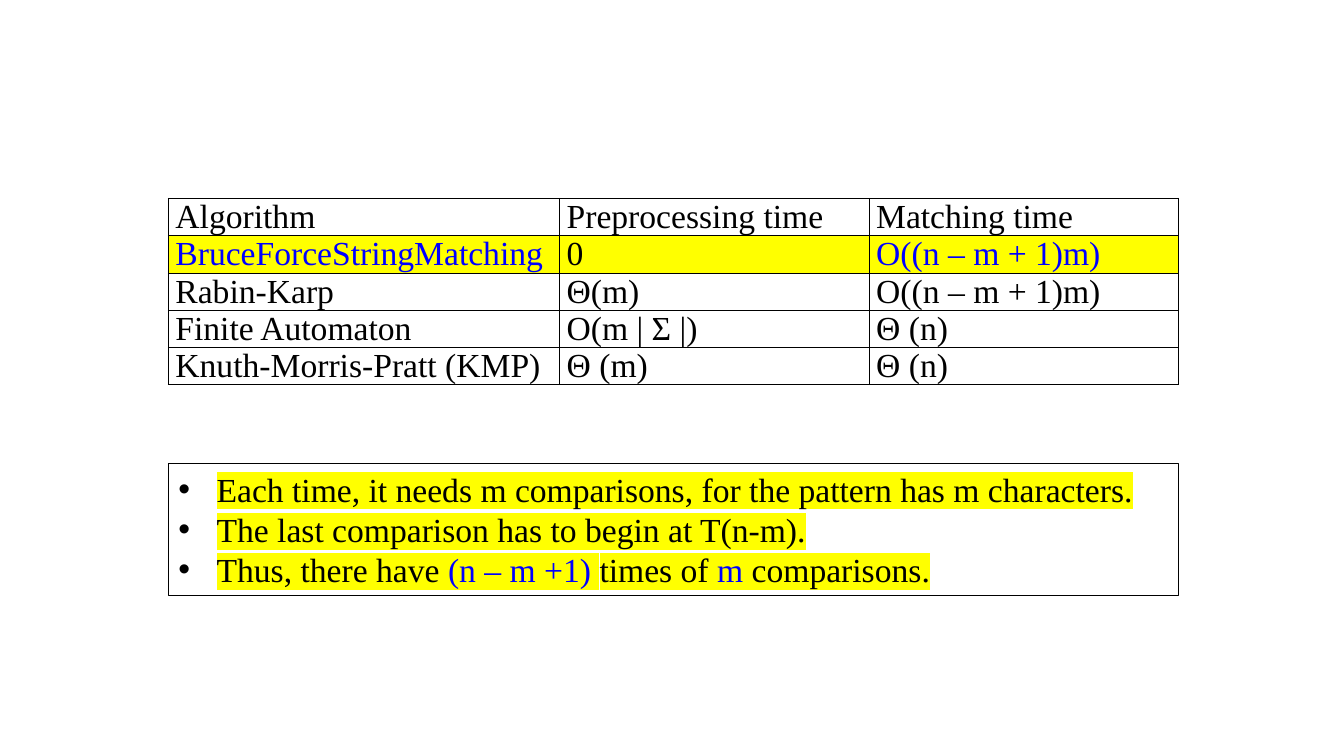
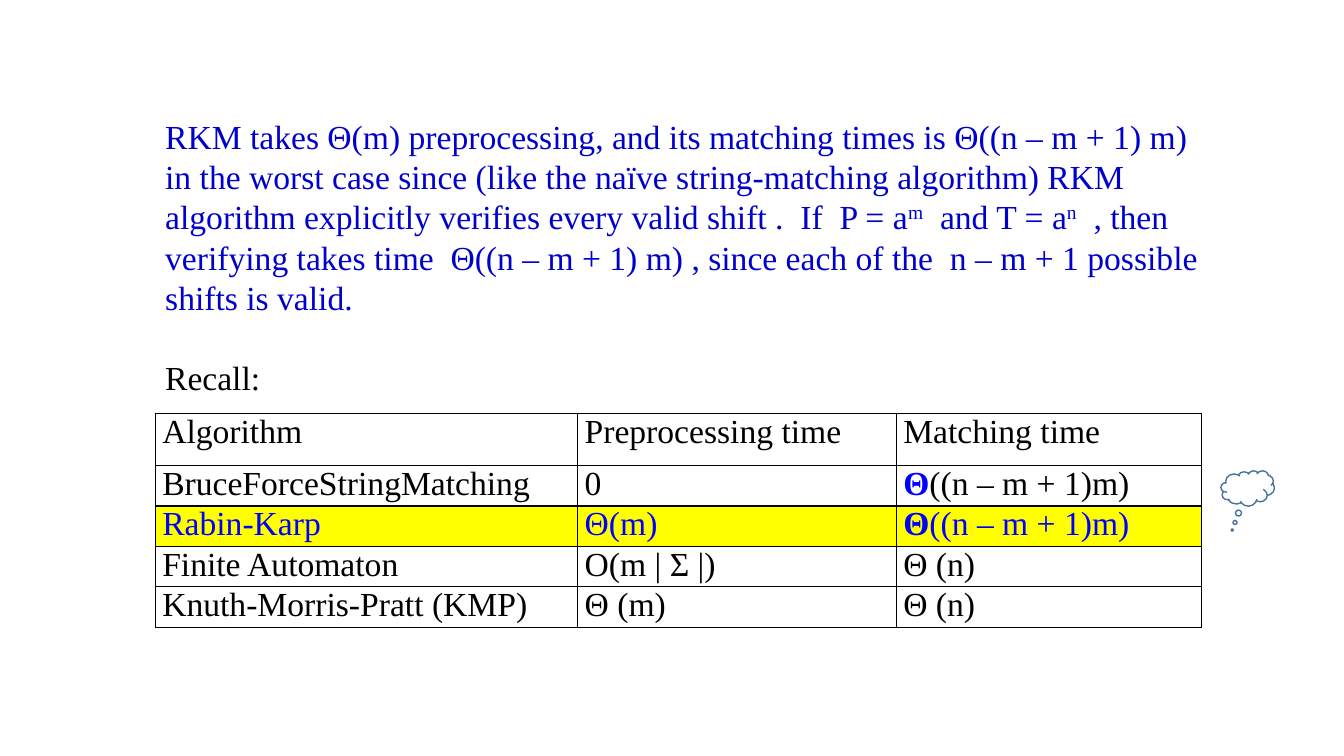
import pptx
import pptx.util
import pptx.dml.color
import pptx.enum.shapes
import pptx.enum.text
import pptx.oxml.ns
import lxml.etree

# Theme
THEME = {
    "font": "Times New Roman", "size": 24, "line": 1, "gap": 28.8,
    "ink": "000000", "paper": "FFFFFF", "blue": "0000FF",
    "navy": "0000CC", "marker": "FFFF00", "cloud": "43739E",
}
WIDTH, HEIGHT = 13.33, 7.5

# Content: a run is plain text or (text, style, ...)
HEADER = ["Algorithm", "Preprocessing time", "Matching time"]
LAST_ROWS = [
    ["Finite Automaton", "O(m | Σ |)", "Θ (n)"],
    ["Knuth-Morris-Pratt (KMP)", "Θ (m)", "Θ (n)"],
]
NAIVE_TABLE = [
    HEADER,
    [("BruceForceStringMatching", "blue"), "0", ("O((n – m + 1)m)", "blue")],
    ["Rabin-Karp", "Θ(m)", "O((n – m + 1)m)"],
    *LAST_ROWS,
]
RABIN_KARP_TABLE = [
    HEADER,
    ["BruceForceStringMatching", "0", [("Θ", "blue", "bold"), "((n – m + 1)m)"]],
    [("Rabin-Karp", "blue"), ("Θ(m)", "blue"),
     [("Θ", "blue", "bold"), ("((n – m + 1)m)", "blue")]],
    *LAST_ROWS,
]
NAIVE_NOTES = [
    ["Each time, it needs m comparisons, for the pattern has m characters."],
    ["The last comparison has to begin at T(n-m)."],
    ["Thus, there have ", ("(n – m +1) ", "blue"), "times of ", ("m", "blue"),
     " comparisons."],
]
RABIN_KARP_TEXT = [
    "RKM takes Θ(m) preprocessing, and its matching times is Θ((n – m + 1) m) "
    "in the worst case since (like the naïve string-matching algorithm) RKM "
    "algorithm explicitly verifies every valid shift .  If  P = a",
    ("m", "super"), "  and T = a", ("n", "super"),
    "  , then verifying takes time  Θ((n – m + 1) m) , since each of the  "
    "n – m + 1 possible shifts is valid.",
]

# Layout, in hundredths of the slide's width and height
NAIVE_TABLE_AT = (12.53, 26.27, 75.17, 24.65)
NAIVE_COLS, NAIVE_ROWS = (29.11, 23.03, 23.03), (4.93,) * 5
NOTES_AT = (12.53, 61.33, 75.17, 17.47)
RK_TABLE_AT = (11.55, 54.67, 77.87, 28.27)
# Rows below the header grow to fit their text
RK_COLS, RK_ROWS = (31.43, 23.71, 22.73), (6.93, 3.33, 1.6, 1.6, 3.33)
RK_TEXT_AT = (11.55, 14.4, 78.47, 39.07)
CLOUD_AT = (90.85, 62.27, 3.98, 4.67)


def across(share):
    return pptx.util.Inches(WIDTH * share / 100)


def down(share):
    return pptx.util.Inches(HEIGHT * share / 100)


def place(at):
    x, y, w, h = at
    return across(x), down(y), across(w), down(h)


def color(name):
    return pptx.dml.color.RGBColor.from_string(THEME[name])


def child(parent, tag, **attrs):
    return lxml.etree.SubElement(parent, pptx.oxml.ns.qn(tag), attrs)


def fill(target, name):
    target.fill.solid()
    target.fill.fore_color.rgb = color(name)


def write(p, runs, ink="ink", highlight=False):
    p.font.name = THEME["font"]
    p.font.size = pptx.util.Pt(THEME["size"])
    p.font.color.rgb = color(ink)
    for run in runs if isinstance(runs, list) else [runs]:
        text, *styles = (run,) if isinstance(run, str) else run
        r = p.add_run()
        r.text = text
        rPr = r.font._element
        if "blue" in styles:
            r.font.color.rgb = color("blue")
        if "bold" in styles:
            r.font.bold = True
        if "super" in styles:
            rPr.set("baseline", "30000")
        if highlight:
            child(child(rPr, "a:highlight"), "a:srgbClr", val=THEME["marker"])


def border(cell):
    tcPr = cell._tc.get_or_add_tcPr()
    for i, side in enumerate("LRTB"):
        ln = child(tcPr, f"a:ln{side}", w=str(pptx.util.Pt(THEME["line"])))
        child(child(ln, "a:solidFill"), "a:srgbClr", val=THEME["ink"])
        tcPr.insert(i, ln)


def add_table(slide, rows, at, cols, heights, marked):
    sp = slide.shapes.add_table(len(rows), len(cols), *place(at))
    table = sp.table
    table.first_row = table.horz_banding = False
    for column, w in zip(table.columns, cols):
        column.width = across(w)
    for i, (row, h) in enumerate(zip(rows, heights)):
        table.rows[i].height = down(h)
        for j, runs in enumerate(row):
            cell = table.cell(i, j)
            cell.margin_left = cell.margin_right = pptx.util.Inches(0.07)
            cell.margin_top = cell.margin_bottom = 0
            fill(cell, "marker" if i == marked else "paper")
            border(cell)
            write(cell.text_frame.paragraphs[0], runs)
    sp.height = down(at[3])


def add_shape(slide, kind, at, line):
    sp = slide.shapes.add_shape(kind, *place(at))
    sp.shadow.inherit = False
    fill(sp, "paper")
    sp.line.color.rgb = color(line)
    sp.line.width = pptx.util.Pt(THEME["line"])
    return sp


def start_text(sp, anchor, count):
    tf = sp.text_frame
    tf.word_wrap = True
    tf.auto_size = pptx.enum.text.MSO_AUTO_SIZE.SHAPE_TO_FIT_TEXT
    tf.vertical_anchor = anchor
    for _ in range(count - 1):
        tf.add_paragraph()
    for p in tf.paragraphs:
        p.alignment = pptx.enum.text.PP_ALIGN.LEFT
    return tf.paragraphs


def naive_slide(prs):
    slide = prs.slides.add_slide(prs.slide_layouts[6])
    add_table(slide, NAIVE_TABLE, NAIVE_TABLE_AT, NAIVE_COLS, NAIVE_ROWS, marked=1)

    # Bulleted notes
    sp = add_shape(slide, pptx.enum.shapes.MSO_SHAPE.RECTANGLE, NOTES_AT, "ink")
    paragraphs = start_text(sp, pptx.enum.text.MSO_ANCHOR.TOP, len(NAIVE_NOTES))
    indent = pptx.util.Inches(0.38)
    for p, runs in zip(paragraphs, NAIVE_NOTES):
        pPr = p._p.get_or_add_pPr()
        pPr.set("marL", str(indent))
        pPr.set("indent", str(-indent))
        child(pPr, "a:buFont", typeface="Arial")
        child(pPr, "a:buChar", char="•")
        write(p, runs, highlight=True)


def rabin_karp_slide(prs):
    slide = prs.slides.add_slide(prs.slide_layouts[6])
    add_table(slide, RABIN_KARP_TABLE, RK_TABLE_AT, RK_COLS, RK_ROWS, marked=2)

    # Explanation above the table
    sp = slide.shapes.add_textbox(*place(RK_TEXT_AT))
    body, recall = start_text(sp, pptx.enum.text.MSO_ANCHOR.MIDDLE, 2)
    write(body, RABIN_KARP_TEXT, "navy")
    recall.space_before = pptx.util.Pt(THEME["gap"])
    write(recall, "Recall:")

    # Thought bubble beside the table
    cloud = add_shape(slide, pptx.enum.shapes.MSO_SHAPE.CLOUD_CALLOUT,
                      CLOUD_AT, "cloud")
    cloud.adjustments[0], cloud.adjustments[1] = -0.29, 1.18


def main():
    prs = pptx.Presentation()
    prs.slide_width = pptx.util.Inches(WIDTH)
    prs.slide_height = pptx.util.Inches(HEIGHT)
    naive_slide(prs)
    rabin_karp_slide(prs)
    prs.save("out.pptx")


if __name__ == "__main__":
    main()
